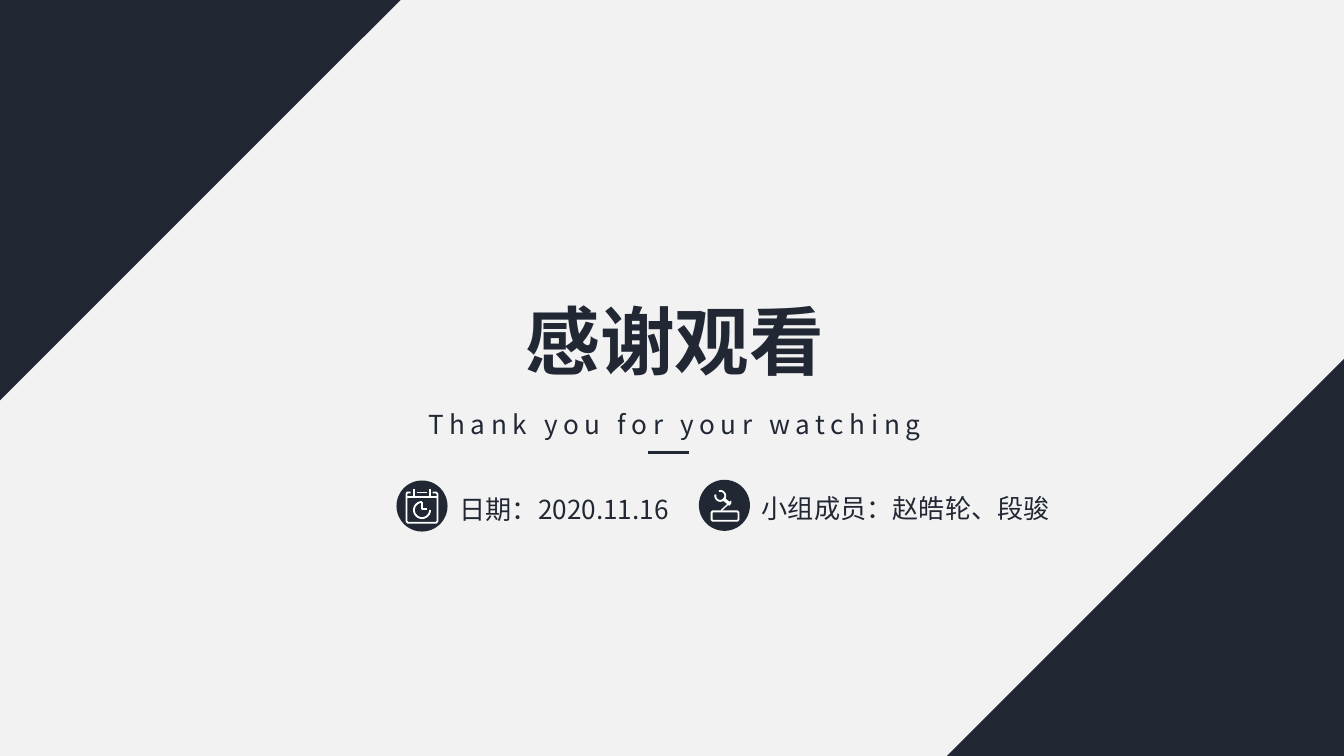
from dataclasses import dataclass
from math import cos, radians, sin

from lxml import etree
from pptx import Presentation
from pptx.dml.color import RGBColor
from pptx.enum.shapes import MSO_CONNECTOR, MSO_SHAPE
from pptx.enum.text import MSO_AUTO_SIZE, PP_ALIGN
from pptx.oxml.ns import qn
from pptx.util import Inches, Pt

TRIANGLE = MSO_SHAPE.RIGHT_TRIANGLE
CIRCLE = MSO_SHAPE.OVAL
STRAIGHT = MSO_CONNECTOR.STRAIGHT
CENTER, LEFT = PP_ALIGN.CENTER, PP_ALIGN.LEFT
FIXED = MSO_AUTO_SIZE.NONE

COLUMNS, ROWS = 100, 56.25
CELL = Inches(0.1)
FINE = 100
NAVY, PAPER, WHITE = "212834", "F2F2F2", "FFFFFF"
FONT = "Noto Sans CJK SC"

Points = list[tuple[float, float]]


@dataclass
class Emblem:
    kind: int
    column: float
    row: float
    size: float
    rotation: float = 0


@dataclass
class Caption:
    words: str
    column: float
    row: float
    columns: float
    rows: float = 3.4
    size: float = 14
    bold: bool = False
    align: int = LEFT
    spacing: float = 0


@dataclass
class Stroke:
    points: Points
    closed: bool = False
    weight: float = 1


def colour(value: str) -> RGBColor:
    return RGBColor.from_string(value)


def cells(*counts: float) -> list[int]:
    return [round(count * CELL) for count in counts]


def arc(x: float, y: float, radius: float, start: int, end: int) -> Points:
    return [(x + radius * cos(radians(a)), y + radius * sin(radians(a)))
            for a in range(start, end + 1, 15)]


def draw_emblem(slide, emblem: Emblem) -> None:
    shape = slide.shapes.add_shape(
        emblem.kind, *cells(emblem.column, emblem.row, emblem.size, emblem.size))
    shape.rotation = emblem.rotation
    shape.shadow.inherit = False
    shape.fill.solid()
    shape.fill.fore_color.rgb = colour(NAVY)
    shape.line.fill.background()


def draw_caption(slide, caption: Caption) -> None:
    box = slide.shapes.add_textbox(
        *cells(caption.column, caption.row, caption.columns, caption.rows))
    frame = box.text_frame
    for name, value in {"word_wrap": True, "auto_size": FIXED}.items():
        setattr(frame, name, value)
    paragraph = frame.paragraphs[0]
    paragraph.alignment = caption.align
    run = paragraph.add_run()
    run.text = caption.words
    formats = {"name": FONT, "size": Pt(caption.size), "bold": caption.bold}
    for name, value in formats.items():
        setattr(run.font, name, value)
    run.font.color.rgb = colour(NAVY)
    properties = run._r.get_or_add_rPr()
    etree.SubElement(properties, qn("a:ea")).set("typeface", FONT)
    if caption.spacing:
        properties.set("spc", str(round(caption.spacing * 100)))


def draw_stroke(slide, badge: Emblem, stroke: Stroke) -> None:
    start, *rest = [(x * FINE, y * FINE) for x, y in stroke.points]
    builder = slide.shapes.build_freeform(*start, scale=CELL / FINE)
    builder.add_line_segments(rest, close=stroke.closed)
    shape = builder.convert_to_shape(*cells(badge.column, badge.row))
    shape.shadow.inherit = False
    shape.fill.background()
    shape.line.color.rgb = colour(WHITE)
    shape.line.width = Pt(stroke.weight)


def draw_divider(slide, start: float, end: float, row: float) -> None:
    divider = slide.shapes.add_connector(STRAIGHT, *cells(start, row, end, row))
    divider.line.color.rgb = colour(NAVY)
    divider.line.width = Pt(1.5)
    etree.SubElement(divider._element.spPr, qn("a:effectLst"))


CORNERS = [
    Emblem(TRIANGLE, 70.3, 26.3, 30.1, 270),
    Emblem(TRIANGLE, -0.3, 0, 30.1, 90),
]
CAPTIONS = [
    Caption("感谢观看", 20.7, 21.45, 59, 7.7, 40, True, CENTER),
    Caption("Thank you for your watching", 17.4, 29.9, 65.6, align=CENTER, spacing=3),
    Caption("日期：2020.11.16", 33.2, 36.2, 22.7),
    Caption("小组成员：赵皓轮、段骏", 55.7, 36.15, 24),
]
CALENDAR = [
    Stroke([(1.05, 0.9), (0.8, 0.9), (0.75, 1), (0.75, 3.05), (0.85, 3.15),
            (2.95, 3.15), (3.05, 3.05), (3.05, 1), (2.95, 0.9), (2.7, 0.9)]),
    Stroke([(1.5, 0.9), (2.25, 0.9)]),
    *[Stroke([(x, 0.65), (x, 1.15)]) for x in (1.28, 2.48)],
    Stroke([(0.75, 1.25), (3.05, 1.25)]),
    Stroke(arc(1.9, 2.2, 0.6, 0, 270)),
    Stroke([(1.9, 1.6), (1.9, 2.15), (2.3, 2.15)]),
]
GAVEL = [
    Stroke(arc(1.6, 1.2, 0.37, -105, 195)),
    Stroke([(1.8, 1.4), (2.35, 1.85)], weight=1.75),
    Stroke([(2.4, 1.6), (1.65, 2.3)], weight=0.75),
    Stroke([(1.03, 2.35), (2.87, 2.35), (2.95, 2.43), (2.95, 2.97),
            (2.87, 3.05), (1.03, 3.05), (0.95, 2.97), (0.95, 2.43)], True),
]
BADGES = [
    (Emblem(CIRCLE, 29.5, 35.75, 3.8), CALENDAR),
    (Emblem(CIRCLE, 52, 35.7, 3.8), GAVEL),
]


def main() -> None:
    deck = Presentation()
    deck.slide_width, deck.slide_height = cells(COLUMNS, ROWS)
    slide = deck.slides.add_slide(deck.slide_layouts[6])
    slide.background.fill.solid()
    slide.background.fill.fore_color.rgb = colour(PAPER)
    for corner in CORNERS:
        draw_emblem(slide, corner)
    for caption in CAPTIONS:
        draw_caption(slide, caption)
    draw_divider(slide, 48.2, 51.3, 33.7)
    for badge, icon in BADGES:
        draw_emblem(slide, badge)
        for stroke in icon:
            draw_stroke(slide, badge, stroke)
    deck.save("out.pptx")


main()
